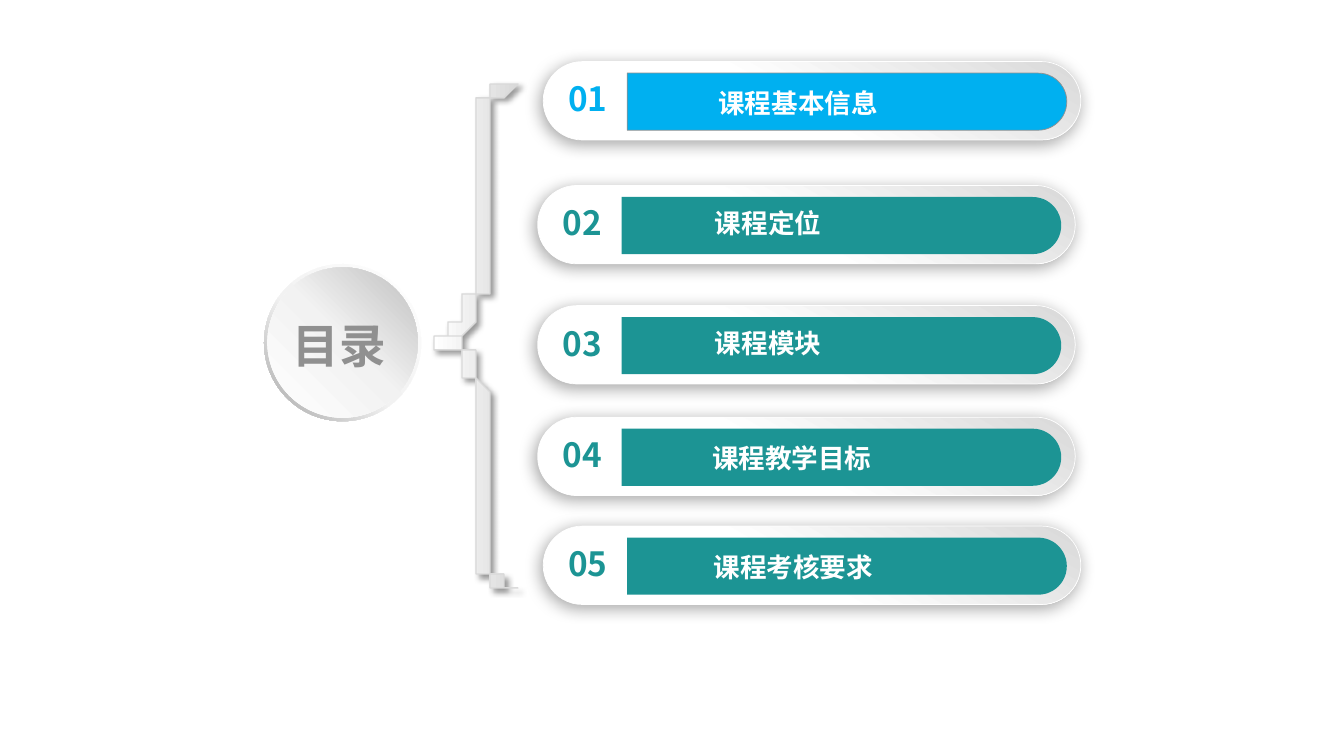
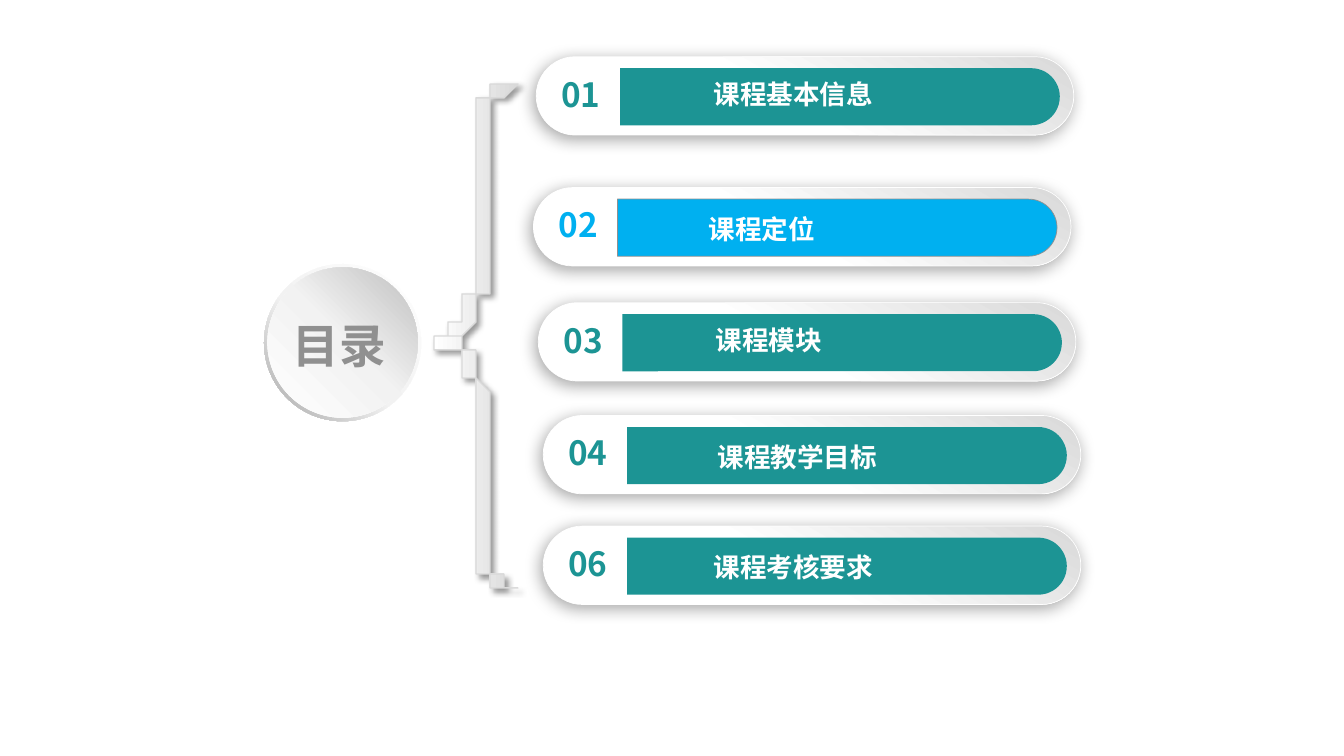
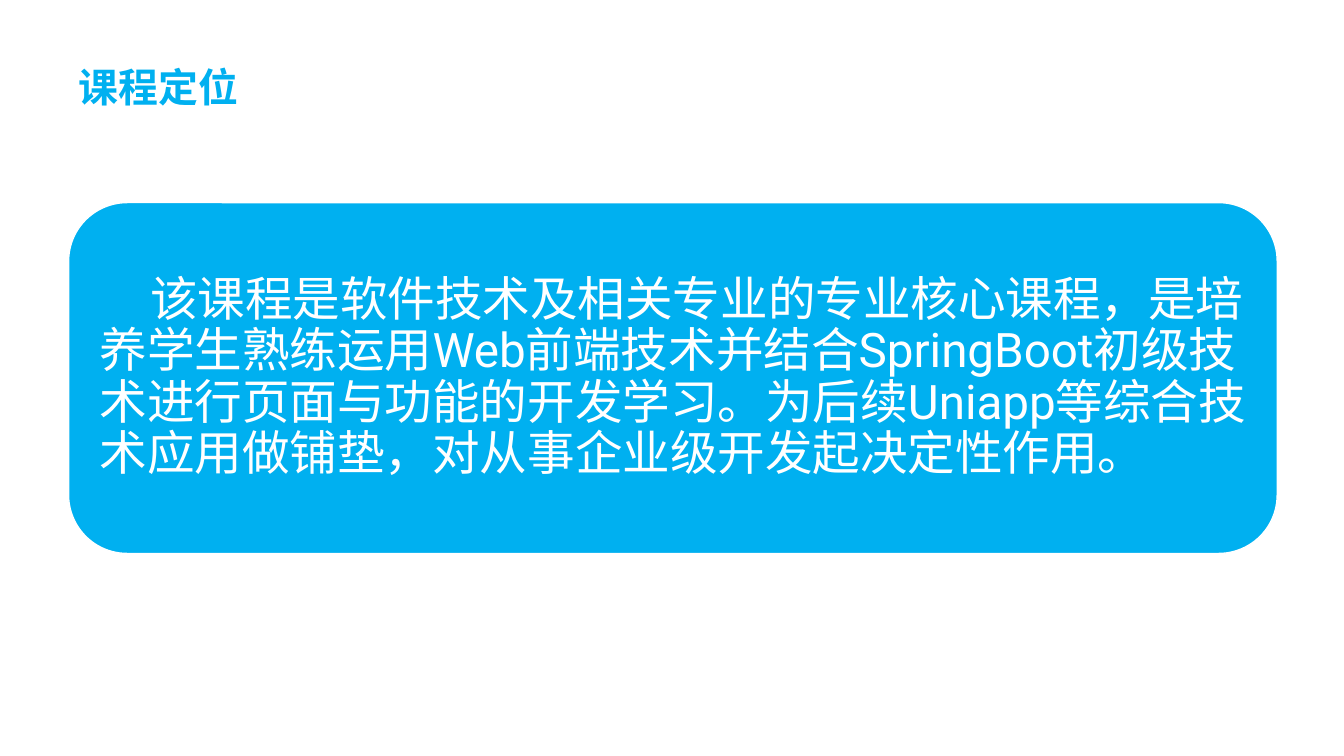
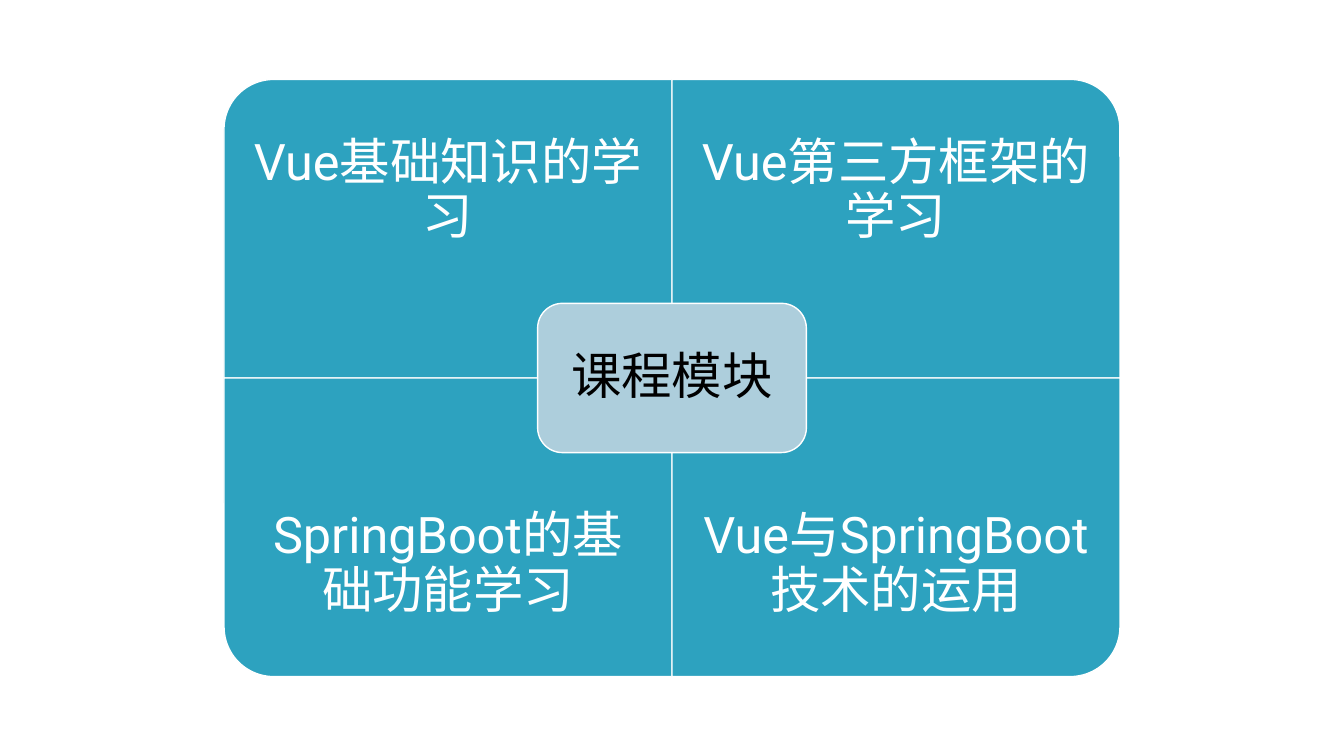
from lxml.etree import SubElement
from pptx import Presentation
from pptx.dml.color import RGBColor
from pptx.enum.shapes import MSO_SHAPE
from pptx.enum.text import MSO_ANCHOR, MSO_AUTO_SIZE, PP_ALIGN
from pptx.oxml.ns import qn
from pptx.util import Pt

COLS, ROWS = 96, 54
UNIT = 10
HUES = {
    "white": "FFFFFF", "black": "000000", "sky": "00B0F0", "teal": "1C9494",
    "blue": "2DA2BF", "pale": "ADCEDC", "gray": "909090", "fog": "F2F2F2",
    "ash": "D9D9D9", "mist": "BFBFBF", "steel": "A6A6A6",
}
HAN, LATIN = "Noto Sans CJK SC", "Roboto"
LABELS = [
    ("课程基本信息", 11.95, 1.15),
    ("课程定位", 11.95, 1.15),
    ("课程模块", 11.95, 1.15),
    ("课程教学目标", 11.75, 1.44),
    ("课程考核要求", 11.45, 1.44),
]
AGENDAS = [
    (0, ["01", "02", "03", "04", "05"],
     [(38.8, 4.4), (38.4, 13.25), (38.4, 21.83), (38.4, 29.8), (38.8, 37.58)]),
    (1, ["01", "02", "03", "04", "06"],
     [(38.3, 4.05), (38.1, 13.4), (38.45, 21.62), (38.8, 29.68), (38.8, 37.58)]),
]
INNER = [
    [(37.22, 6.26)],
    [(35.86, 6.26), (34.78, 8.06), (34.63, 10.37)],
    [(34.56, 11.52)],
    [(34.56, 19.44)],
    [(34.56, 21.6), (33.91, 24.12), (32.18, 24.12)],
]
OUTER = [
    [(37.22, 5.83)],
    [(36, 5.83), (35.06, 6.26), (34.49, 7.2)],
    [(33.91, 8.14), (33.62, 9.79), (33.62, 12.17)],
    [(33.62, 19.15)],
    [(33.62, 20.66), (33.41, 21.74), (33.12, 22.39)],
    [(32.76, 23.04), (32.11, 23.47), (31.18, 23.69)],
]
BRACE_SUM = 48.31
COURSE = ("该课程是软件技术及相关专业的专业核心课程，是培养学生熟练运用Web前端技术并结合"
          "SpringBoot初级技术进行页面与功能的开发学习。为后续Uniapp等综合技术应用做铺垫，"
          "对从事企业级开发起决定性作用。")
PARTS = [
    ["Vue基础知识的学习", "Vue第三方框架的学习"],
    ["SpringBoot的基础功能学习", "Vue与SpringBoot技术的运用"],
]
TURNS = [[270, 0], [180, 90]]


def trace(steps, count=12):
    dots = list(steps[0])
    for step in steps[1:]:
        if len(step) == 1:
            dots += step
            continue
        ends = [dots[-1], *step]
        for n in range(1, count + 1):
            t = n / count
            s = 1 - t
            parts = (s ** 3, 3 * s * s * t, 3 * s * t * t, t ** 3)
            dots.append(tuple(sum(k * p[axis] for k, p in zip(parts, ends))
                              for axis in (0, 1)))
    return dots


def flip(dots):
    return [(x, BRACE_SUM - y) for x, y in dots]


class Deck:
    def __init__(self):
        self.show = Presentation()
        self.show.slide_width = Pt(COLS * UNIT)
        self.show.slide_height = Pt(ROWS * UNIT)
        self.page = None

    def hue(self, name):
        return RGBColor.from_string(HUES[name])

    def span(self, *cells):
        return [Pt(cell * UNIT) for cell in cells]

    def slide(self):
        self.page = self.show.slides.add_slide(self.show.slide_layouts[5])

    def title(self, box, words, **style):
        head = self.page.shapes.title
        head.left, head.top, head.width, head.height = self.span(*box)
        head._element.getparent().append(head._element)
        self.letter(head, words, **style)

    def text(self, box, words, **style):
        self.letter(self.page.shapes.add_textbox(*self.span(*box)), words, **style)

    def letter(self, shape, words, size, hue, font=HAN, bold=False, align=PP_ALIGN.LEFT,
               anchor=MSO_ANCHOR.TOP, pad=(0.72, 0.36), wrap=True, lead=1, indent=0):
        frame = shape.text_frame
        frame.auto_size = MSO_AUTO_SIZE.NONE
        frame.word_wrap = wrap
        frame.vertical_anchor = anchor
        frame.margin_left = frame.margin_right = Pt(pad[0] * UNIT)
        frame.margin_top = frame.margin_bottom = Pt(pad[1] * UNIT)
        para = frame.paragraphs[0]
        para.alignment = align
        para.line_spacing = lead
        if indent:
            para._p.get_or_add_pPr().set("indent", str(Pt(indent * UNIT)))
        run = para.add_run()
        run.text = words
        run.font.size = Pt(size)
        run.font.bold = bold
        run.font.name = font
        run.font.color.rgb = self.hue(hue)
        SubElement(run._r.get_or_add_rPr(), qn("a:ea")).set("typeface", HAN)

    def shape(self, kind, box, turn=0, bend=None, **look):
        x, y, w, h = box
        if turn % 180:
            x, y, w, h = x + (w - h) / 2, y + (h - w) / 2, h, w
        item = self.page.shapes.add_shape(kind, *self.span(x, y, w, h))
        item.rotation = turn
        if bend is not None:
            item.adjustments[0] = bend
        self.paint(item, **look)
        return item

    def outline(self, dots, **look):
        pen = self.page.shapes.build_freeform(*dots[0], scale=Pt(UNIT))
        pen.add_line_segments(dots[1:], close=True)
        self.paint(pen.convert_to_shape(), **look)

    def paint(self, item, fill, line=None, shade=None):
        item.shadow.inherit = False
        if isinstance(fill, str):
            item.fill.solid()
            item.fill.fore_color.rgb = self.hue(fill)
        else:
            self.blend(item, *fill)
        if line:
            item.line.color.rgb = self.hue(line[0])
            item.line.width = Pt(line[1])
        else:
            item.line.fill.background()
        if shade:
            self.shade(item, *shade)

    def blend(self, item, angle, stops):
        item.fill.gradient()
        item.fill.gradient_angle = -angle % 360
        grid = item._element.spPr.find(qn("a:gradFill")).find(qn("a:gsLst"))
        for old in list(grid):
            grid.remove(old)
        for place, name in stops:
            stop = SubElement(grid, qn("a:gs"), pos=str(place * 1000))
            SubElement(stop, qn("a:srgbClr"), val=HUES[name])

    def shade(self, item, alpha, blur, gap, angle):
        base = item._element.spPr.find(qn("a:effectLst"))
        cast = SubElement(base, qn("a:outerShdw"), blurRad=str(Pt(blur)), dist=str(Pt(gap)),
                          dir=str(angle * 60000), algn="ctr", rotWithShape="0")
        tone = SubElement(cast, qn("a:srgbClr"), val=HUES["black"])
        SubElement(tone, qn("a:alpha"), val=str(alpha * 1000))

    def badge(self):
        self.shape(MSO_SHAPE.DONUT, (18.86, 18.86, 11.23, 11.23), bend=0.05,
                   fill=(135, [(0, "white"), (55, "fog"), (100, "steel")]))
        self.shape(MSO_SHAPE.OVAL, (19.1, 19.1, 10.74, 10.74),
                   fill=(315, [(0, "white"), (51, "fog"), (100, "mist")]))
        self.title((18.36, 22.61, 11.74, 4.03), "目录", size=33.3, hue="gray",
                   bold=True, align=PP_ALIGN.CENTER, pad=(0, 0))

    def brace(self):
        inner, outer = trace(INNER), trace(OUTER)
        self.outline(inner + flip(inner[::-1]) + flip(outer) + outer[::-1],
                     fill=(0, [(0, "white"), (100, "ash")]), line=("ash", 1),
                     shade=(40, 4, 3, 45))

    def pill(self, x, y, mark, label, active):
        words, dx, dy = label
        if active:
            dx, dy = 11.8, 1.44
        tone = "sky" if active else "teal"
        self.shape(MSO_SHAPE.ROUNDED_RECTANGLE, (x, y, 38.4, 5.6), bend=0.5,
                   fill=(300, [(45, "white"), (100, "ash")]), line=("white", 0.5),
                   shade=(34, 12, 3, 135))
        self.shape(MSO_SHAPE.ROUND_2_SAME_RECTANGLE, (x + 6, y + 0.82, 31.4, 4.08),
                   turn=90, bend=0.5, fill=tone, line=("gray", 0.5) if active else None)
        self.text((x + 1.08, y + 0.86, 4.4, 3.6), mark, size=23.8, hue=tone,
                  bold=True, wrap=False)
        self.text((x + dx, y + dy, 14, 3), words, size=19, hue="white",
                  bold=True, wrap=False)

    def agenda(self, active, marks, spots):
        self.slide()
        self.badge()
        self.brace()
        for n, (mark, spot) in enumerate(zip(marks, spots)):
            self.pill(*spot, mark, LABELS[n], n == active)

    def focus(self):
        self.slide()
        self.title((4.9, 4.1, 31.7, 4.18), "课程定位", size=28.5, hue="sky",
                   font=LATIN, bold=True)
        card = self.shape(MSO_SHAPE.ROUNDED_RECTANGLE, (4.9, 14.47, 86.33, 25.06),
                          fill="sky", line=("white", 1))
        self.letter(card, COURSE, size=34, hue="white", font=LATIN, pad=(1, 1),
                    anchor=MSO_ANCHOR.MIDDLE, lead=0.9, indent=3.6)

    def matrix(self):
        self.slide()
        wide, high = COLS / 3, 21.33
        left, top = COLS / 2 - wide, ROWS / 2 - high
        style = dict(size=36, font=LATIN, align=PP_ALIGN.CENTER,
                     anchor=MSO_ANCHOR.MIDDLE, lead=0.9)
        for row, pair in enumerate(PARTS):
            for col, words in enumerate(pair):
                x, y = left + col * wide, top + row * high
                self.shape(MSO_SHAPE.ROUND_1_RECTANGLE, (x, y, wide, high),
                           turn=TURNS[row][col], fill="blue", line=("white", 1))
                self.text((x, y + row * high / 4, wide, high * 3 / 4), words,
                          hue="white", pad=(2, 2), **style)
        hub = (COLS * 0.4, ROWS / 2 - high / 4, COLS * 0.2, high / 2)
        self.shape(MSO_SHAPE.ROUNDED_RECTANGLE, hub, fill="pale", line=("white", 1))
        self.title(hub, "课程模块", hue="black", pad=(1.6, 1.6), **style)


def main():
    deck = Deck()
    for plan in AGENDAS:
        deck.agenda(*plan)
    deck.focus()
    deck.matrix()
    deck.show.save("out.pptx")


if __name__ == "__main__":
    main()
